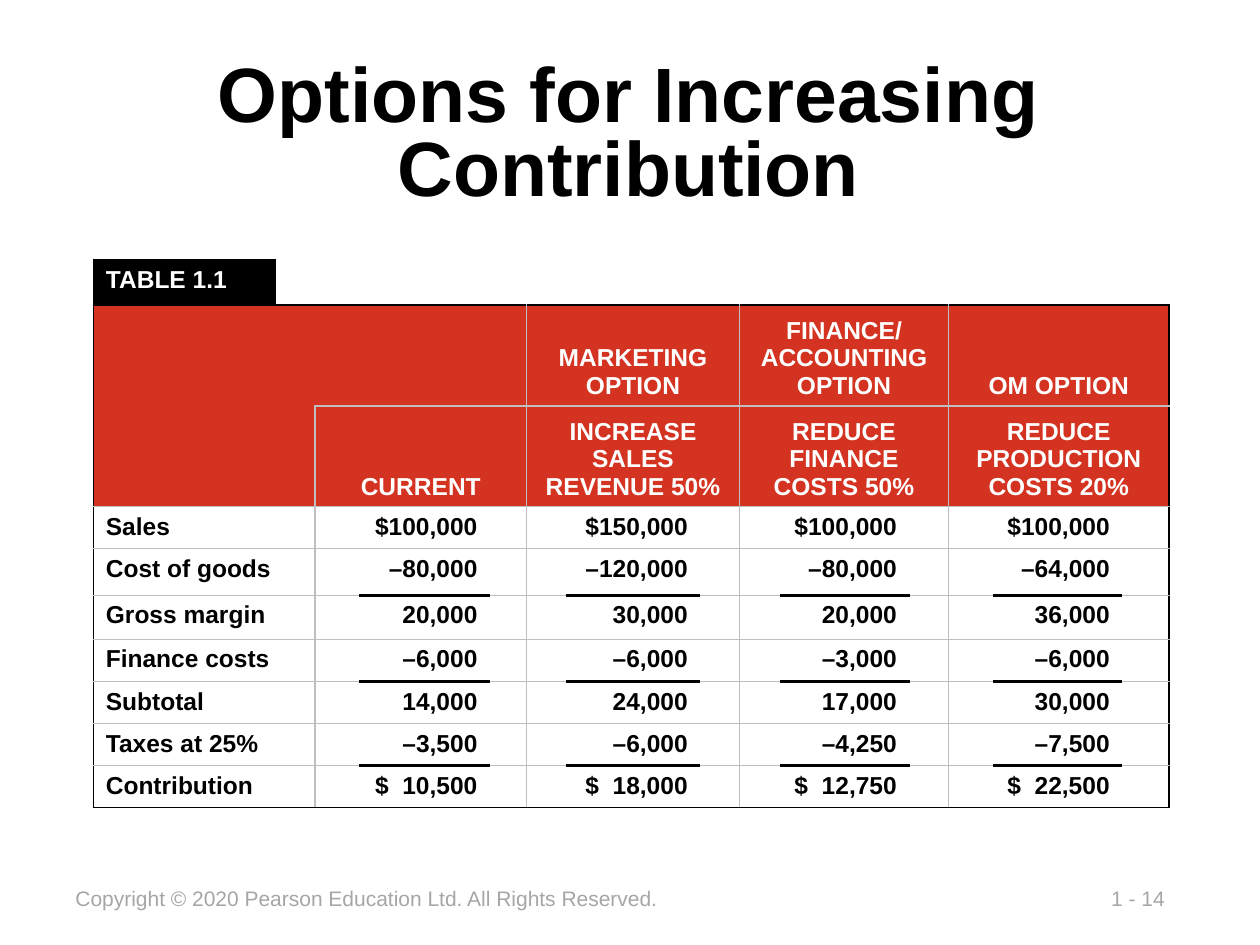
from lxml import etree
from pptx import Presentation
from pptx.dml.color import RGBColor
from pptx.enum.text import MSO_ANCHOR, PP_ALIGN
from pptx.oxml.ns import qn
from pptx.util import Inches, Pt

LEFT, CENTER, RIGHT = PP_ALIGN.LEFT, PP_ALIGN.CENTER, PP_ALIGN.RIGHT
TOP, MIDDLE, BOTTOM = MSO_ANCHOR.TOP, MSO_ANCHOR.MIDDLE, MSO_ANCHOR.BOTTOM
BLACK, WHITE, RED, GRAY, PALE = "000000", "FFFFFF", "D33320", "A6A6A6", "BFBFBF"
FONT = "Arial"

TITLE = "Options for Increasing Contribution"
FOOTERS = [
    ("1 - 14", 8.72, 0.65),
    ("Copyright © 2020 Pearson Education Ltd. All Rights Reserved.", 0.5, 4.91),
]
TABLE_LABEL = "TABLE 1.1"
OPTIONS = [
    ("", "CURRENT"),
    ("MARKETING OPTION", "INCREASE SALES REVENUE 50%"),
    ("FINANCE/ ACCOUNTING OPTION", "REDUCE FINANCE COSTS 50%"),
    ("OM OPTION", "REDUCE PRODUCTION COSTS 20%"),
]
FIGURES = [
    ("Sales", "$100,000", "$150,000", "$100,000", "$100,000"),
    ("Cost of goods", "–80,000", "–120,000", "–80,000", "–64,000"),
    ("Gross margin", "20,000", "30,000", "20,000", "36,000"),
    ("Finance costs", "–6,000", "–6,000", "–3,000", "–6,000"),
    ("Subtotal", "14,000", "24,000", "17,000", "30,000"),
    ("Taxes at 25%", "–3,500", "–6,000", "–4,250", "–7,500"),
    ("Contribution", "$  10,500", "$  18,000", "$  12,750", "$  22,500"),
]
COLUMN_WIDTHS = [1.45, 0.31, 0.35, 1.04, 0.29, 0.31, 1.07, 0.31,
                 0.32, 1.03, 0.31, 0.35, 1.03, 0.37]
ROW_HEIGHTS = [0.36, 0.76, 0.75, 0.33, 0.37, 0.35, 0.33, 0.33, 0.33, 0.33]
COLUMNS, ROWS = len(COLUMN_WIDTHS), len(ROW_HEIGHTS)
HEADER_ROWS = 3
GROUP_STARTS = [2, 5, 8, 11]
SUM_LINES = [5, 7, 9]
OUTLINE, GRID, SUM_RULE = (BLACK, 1), (PALE, 1), (BLACK, 2.25)


def color(value):
    """Turn a hex string into a colour."""
    return RGBColor.from_string(value)


def write(frame, text, size, ink, bold=False, align=LEFT, anchor=TOP):
    """Put one styled run into a text frame and return its paragraph."""
    frame.vertical_anchor = anchor
    para = frame.paragraphs[0]
    para.alignment = align
    span = para.add_run()
    span.text = text
    span.font.name, span.font.size, span.font.bold = FONT, Pt(size), bold
    span.font.color.rgb = color(ink)
    return para


def horizontal_line(boundary, column):
    """Give the line above row number boundary in one column."""
    if boundary == 0:
        return OUTLINE if column == 0 else None
    if boundary in (1, ROWS):
        return OUTLINE
    if boundary == 2 and column < GROUP_STARTS[0]:
        return None
    if boundary in SUM_LINES and column - 1 in GROUP_STARTS:
        return SUM_RULE
    return GRID


def vertical_line(row, boundary):
    """Give the line left of column number boundary in one row."""
    if row == 0:
        return OUTLINE if boundary == 0 else None
    if boundary in (0, COLUMNS):
        return OUTLINE
    if boundary not in GROUP_STARTS or (row == 1 and boundary == GROUP_STARTS[0]):
        return None
    return GRID


def draw_borders(cell, row, column, width):
    """Set the four borders of a cell that is width columns wide."""
    lines = {
        "a:lnL": vertical_line(row, column),
        "a:lnR": vertical_line(row, column + width),
        "a:lnT": horizontal_line(row, column),
        "a:lnB": horizontal_line(row + 1, column),
    }
    properties = cell._tc.get_or_add_tcPr()
    for tag, line in lines.items():
        border = etree.SubElement(properties, qn(tag))
        if line is None:
            etree.SubElement(border, qn("a:noFill"))
            continue
        ink, weight = line
        border.set("w", str(int(Pt(weight))))
        fill = etree.SubElement(border, qn("a:solidFill"))
        etree.SubElement(fill, qn("a:srgbClr"), val=ink)


def table_contents():
    """Map each filled (row, column) to text, width, ink, alignment and anchor."""
    contents = {(0, 0): (TABLE_LABEL, 1, WHITE, LEFT, TOP)}
    for start, headings in zip(GROUP_STARTS, OPTIONS):
        for row, heading in enumerate(headings, 1):
            if heading:
                contents[row, start] = (heading, 3, WHITE, CENTER, BOTTOM)
    for row, (label, *amounts) in enumerate(FIGURES, HEADER_ROWS):
        contents[row, 0] = (label, 2, BLACK, LEFT, TOP)
        for start, amount in zip(GROUP_STARTS, amounts):
            contents[row, start + 1] = (amount, 1, BLACK, RIGHT, TOP)
    return contents


def paint_cell(cell, row, column):
    """Fill a cell by its place in the table."""
    if row == 0 and column > 0:
        cell.fill.background()
        return
    cell.fill.solid()
    fill = BLACK if row == 0 else RED if row < HEADER_ROWS else WHITE
    cell.fill.fore_color.rgb = color(fill)


def add_options_table(page):
    """Add the table of contribution options."""
    table = page.shapes.add_table(
        ROWS, COLUMNS, Inches(0.74), Inches(2.06),
        Inches(sum(COLUMN_WIDTHS)), Inches(sum(ROW_HEIGHTS))).table
    table.first_row = table.horz_banding = False
    for column, width in zip(table.columns, COLUMN_WIDTHS):
        column.width = Inches(width)
    for row, height in zip(table.rows, ROW_HEIGHTS):
        row.height = Inches(height)
    contents = table_contents()
    for row in range(ROWS):
        for column in range(COLUMNS):
            cell = table.cell(row, column)
            text, width, *style = contents.get((row, column), ("", 1))
            draw_borders(cell, row, column, width)
            paint_cell(cell, row, column)
            if text:
                ink, align, anchor = style
                write(cell.text_frame, text, 14, ink, True, align)
                cell.vertical_anchor = anchor
            else:
                para = cell.text_frame.paragraphs[0]
                etree.SubElement(para._p, qn("a:endParaRPr"), sz="1400")
            if width > 1:
                cell.merge(table.cell(row, column + width - 1))


def add_box(page, left, top, width, height, wrap):
    """Add a text box and return its text frame."""
    box = page.shapes.add_textbox(*map(Inches, (left, top, width, height)))
    box.text_frame.word_wrap = wrap
    return box.text_frame


def main():
    """Build the slide and save it."""
    deck = Presentation()
    deck.slide_width, deck.slide_height = Inches(10), Inches(7.5)
    page = deck.slides.add_slide(deck.slide_layouts[6])
    for text, left, width in FOOTERS:
        write(add_box(page, left, 6.98, width, 0.3, False), text, 12, GRAY)
    title = add_box(page, 0.74, 0.43, 8.5, 1.32, True)
    write(title, TITLE, 44, BLACK, True, CENTER, MIDDLE).line_spacing = 0.8
    add_options_table(page)
    deck.save("out.pptx")


if __name__ == "__main__":
    main()
